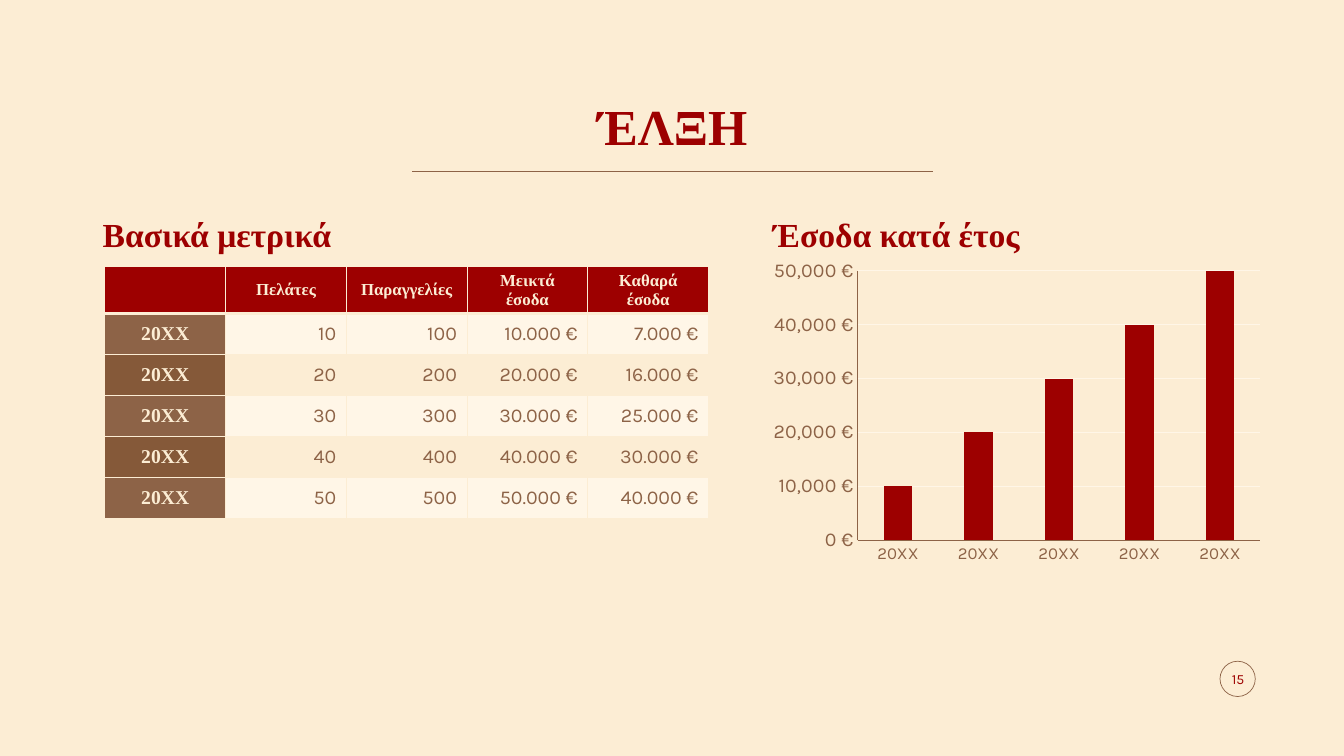
from lxml import etree
from pptx import Presentation
from pptx.chart.data import CategoryChartData
from pptx.dml.color import RGBColor
from pptx.enum import chart as ch, shapes as sh, text as tx
from pptx.oxml.ns import qn
from pptx.util import Inches, Pt

SERIF, SANS = "Times New Roman", "Karla"
CREAM = RGBColor(0xFC, 0xED, 0xD4)
PALE = RGBColor(0xFF, 0xF6, 0xE7)
RED = RGBColor(0x9D, 0x00, 0x00)
BRIGHT_RED = RGBColor(0xFF, 0x00, 0x00)
BLUE = RGBColor(0x00, 0xAE, 0xEF)
BROWN = RGBColor(0x8D, 0x63, 0x47)
DARK_BROWN = RGBColor(0x85, 0x59, 0x39)
LEFT, CENTER, RIGHT = tx.PP_ALIGN.LEFT, tx.PP_ALIGN.CENTER, tx.PP_ALIGN.RIGHT
TOP, MIDDLE, BOTTOM = tx.MSO_ANCHOR.TOP, tx.MSO_ANCHOR.MIDDLE, tx.MSO_ANCHOR.BOTTOM

TITLE = "ΈΛΞΗ"
METRICS_HEADING = "Βασικά μετρικά"
REVENUE_HEADING = "Έσοδα κατά έτος"
PAGE = "15"
METRICS = [
    ("", "Πελάτες", "Παραγγελίες", "Μεικτά έσοδα", "Καθαρά έσοδα"),
    ("20XX", "10", "100", "10.000 €", "7.000 €"),
    ("20XX", "20", "200", "20.000 €", "16.000 €"),
    ("20XX", "30", "300", "30.000 €", "25.000 €"),
    ("20XX", "40", "400", "40.000 €", "30.000 €"),
    ("20XX", "50", "500", "50.000 €", "40.000 €"),
]
YEARS = ["20XX"] * 5
REVENUE = [
    ("Series 1", [10000, 20000, 30000, 40000, 50000], RED),
    ("Series 2", [None] * 5, BRIGHT_RED),
    ("Series 3", [None] * 5, BLUE),
]


def style_font(font, face, size, color, bold=False):
    font.name, font.size, font.bold = face, Pt(size), bold
    font.color.rgb = color


def write(frame, words, face=SERIF, size=24, color=RED, bold=True, align=LEFT,
          before=None, spacing=None):
    line = frame.paragraphs[0]
    line.alignment = align
    if before is not None:
        line.space_before = Pt(before)
    if spacing is not None:
        line.line_spacing = spacing
    run = line.add_run()
    run.text = words
    style_font(run.font, face, size, color, bold)


def add_text(slide, box, words, anchor=TOP, **style):
    frame = slide.shapes.add_textbox(*map(Inches, box)).text_frame
    frame.word_wrap = True
    frame.vertical_anchor = anchor
    write(frame, words, **style)


def add_borders(cell, bottom):
    props = cell._tc.get_or_add_tcPr()
    for place, (side, width) in enumerate([("lnL", 1), ("lnR", 1), ("lnT", 1), ("lnB", bottom)]):
        border = etree.Element(qn("a:" + side), w=str(Pt(width)))
        fill = etree.SubElement(border, qn("a:solidFill"))
        etree.SubElement(fill, qn("a:srgbClr"), val=str(CREAM))
        props.insert(place, border)


def add_metrics(slide):
    rows, cols = len(METRICS), len(METRICS[0])
    table = slide.shapes.add_table(rows, cols, Inches(1.04), Inches(2.64),
                                   Inches(5.99), Inches(2.44)).table
    for r, record in enumerate(METRICS):
        for c, words in enumerate(record):
            cell = table.cell(r, c)
            cell.vertical_anchor = MIDDLE
            if r == 0:
                fill, style = RED, dict(size=12, color=CREAM, align=CENTER)
                cell.margin_top, cell.margin_bottom = Inches(0.04), Inches(0.03)
            elif c == 0:
                fill = BROWN if r % 2 else DARK_BROWN
                style = dict(size=14, color=CREAM, align=CENTER)
            else:
                fill = PALE if r % 2 else None
                style = dict(face=SANS, size=14, color=BROWN, bold=False, align=RIGHT)
            if fill is None:
                cell.fill.background()
            else:
                cell.fill.solid()
                cell.fill.fore_color.rgb = fill
            if words:
                write(cell.text_frame, words, **style)
            add_borders(cell, 3 if r == 0 else 1)


def add_revenue(slide):
    data = CategoryChartData()
    data.categories = YEARS
    for name, amounts, _ in REVENUE:
        data.add_series(name, amounts)
    chart = slide.shapes.add_chart(ch.XL_CHART_TYPE.COLUMN_CLUSTERED, Inches(7.57), Inches(2.51),
                                   Inches(5.03), Inches(3.15), data).chart
    chart.has_legend = chart.has_title = False
    style_font(chart.font, SANS, 10, RED)
    plot = chart.plots[0]
    plot.vary_by_categories = False
    plot.gap_width, plot.overlap = 182, 100
    for bars, (_, _, color) in zip(plot.series, REVENUE):
        bars.format.fill.solid()
        bars.format.fill.fore_color.rgb = color
    euros = chart.value_axis
    for axis, size in ((chart.category_axis, 12), (euros, 14)):
        axis.major_tick_mark = axis.minor_tick_mark = ch.XL_TICK_MARK.NONE
        style_font(axis.tick_labels.font, SANS, size, BROWN)
        axis.format.line.color.rgb = BROWN
        axis.format.line.width = Pt(0.75)
    euros.minimum_scale, euros.maximum_scale, euros.major_unit = 0, 50000, 10000
    euros.tick_labels.number_format = '#,##0\\ "€"'
    euros.tick_labels.number_format_is_linked = False
    grid = euros.major_gridlines.format.line
    grid.color.rgb, grid.width = PALE, Pt(0.75)


def main():
    deck = Presentation()
    deck.slide_width, deck.slide_height = Inches(13.33), Inches(7.5)
    slide = deck.slides.add_slide(deck.slide_layouts[6])
    slide.background.fill.solid()
    slide.background.fill.fore_color.rgb = CREAM

    ring = slide.shapes.add_shape(sh.MSO_SHAPE.OVAL, Inches(12.1), Inches(6.56),
                                  Inches(0.35), Inches(0.35))
    ring.shadow.inherit = False
    ring.fill.background()
    ring.line.color.rgb, ring.line.width = BROWN, Pt(0.5)

    rule = slide.shapes.add_connector(sh.MSO_CONNECTOR.STRAIGHT, Inches(4.09), Inches(1.7),
                                      Inches(9.25), Inches(1.7))
    rule.line.color.rgb, rule.line.width = BROWN, Pt(1)
    etree.SubElement(rule._element.spPr, qn("a:effectLst"))

    add_text(slide, (0.92, 0.83, 11.5, 0.77), TITLE, anchor=BOTTOM, size=36,
             align=CENTER, spacing=0.9)
    add_text(slide, (0.92, 2.07, 5.71, 0.38), METRICS_HEADING, before=6)
    add_metrics(slide)
    add_text(slide, (7.57, 2.07, 4.91, 0.44), REVENUE_HEADING, before=6)
    add_revenue(slide)
    add_text(slide, (12.08, 6.54, 0.4, 0.4), PAGE, anchor=MIDDLE, face=SANS, size=10,
             bold=False, align=CENTER)
    deck.save("out.pptx")


if __name__ == "__main__":
    main()
